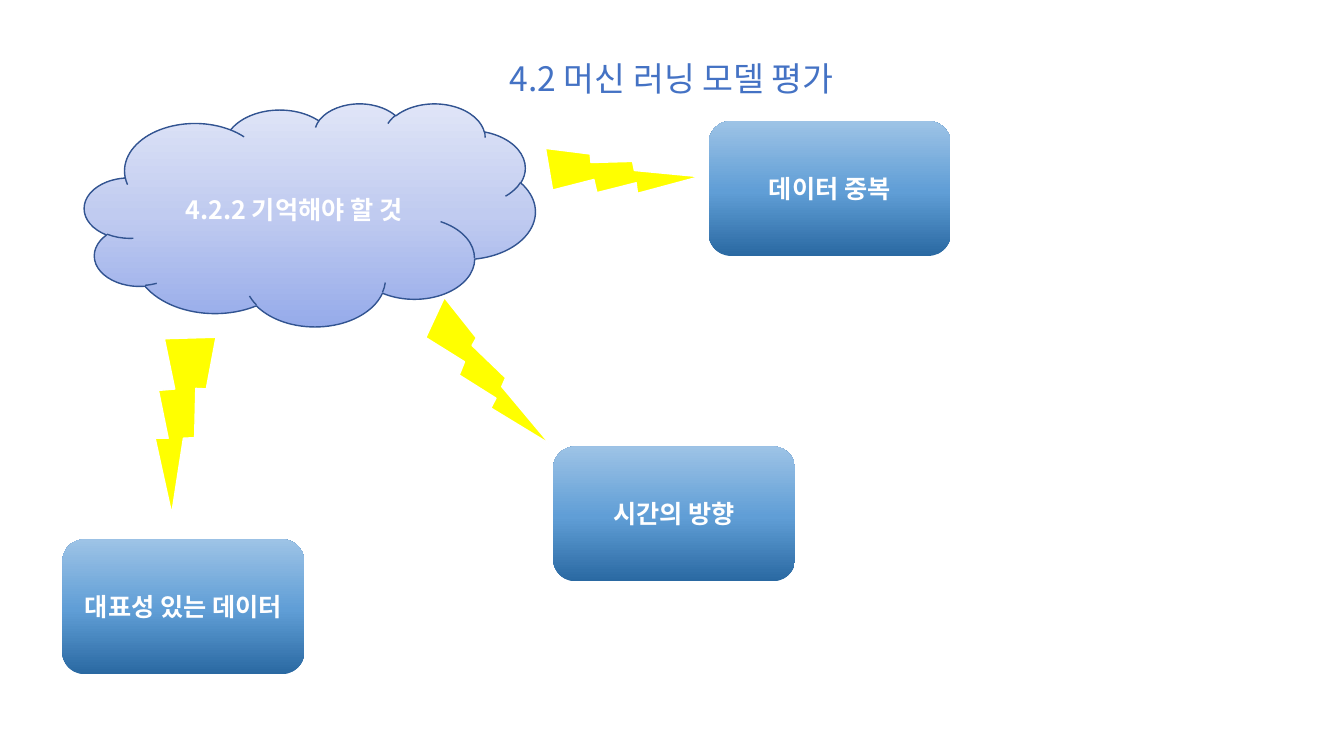
from lxml import etree
from pptx import Presentation
from pptx.dml.color import RGBColor
from pptx.enum.shapes import MSO_SHAPE
from pptx.enum.text import MSO_ANCHOR, PP_ALIGN
from pptx.oxml.ns import qn
from pptx.util import Cm, Pt

FONT = "Noto Sans CJK KR"
COLORS = {
    "title": "4472C4",
    "white": "FFFFFF",
    "bolt": "FFFF00",
    "cloud line": "325491",
}
CLOUD_STOPS = [(0, "96ABEA"), (50, "C0CBF0"), (100, "E0E5F7")]
CARD_STOPS = [(0, "2A69A2"), (48, "609ED6"), (100, "9DC3E6")]


def write_text(shape, text, size, color, bold, anchor):
    frame = shape.text_frame
    frame.text = text
    frame.word_wrap = True
    frame.vertical_anchor = anchor
    para = frame.paragraphs[0]
    para.alignment = PP_ALIGN.CENTER
    span = para.runs[0]
    span.font.name = FONT
    span.font.size = Pt(size)
    span.font.bold = bold
    span.font.color.rgb = RGBColor.from_string(COLORS[color])
    east_asian = etree.SubElement(span.font._element, qn("a:ea"))
    east_asian.set("typeface", FONT)


def add_gradient_shape(page, kind, place, stops, text):
    shape = page.shapes.add_shape(kind, *map(Cm, place))
    shape.shadow.inherit = False
    shape.fill.gradient()
    shape.fill.gradient_angle = 90
    stop_list = shape._element.spPr.find(".//" + qn("a:gsLst"))
    for old_stop in list(stop_list):
        stop_list.remove(old_stop)
    for percent, color in stops:
        stop = etree.SubElement(stop_list, qn("a:gs"), pos=str(percent * 1000))
        etree.SubElement(stop, qn("a:srgbClr"), val=color)
    write_text(shape, text, 18, "white", True, MSO_ANCHOR.MIDDLE)
    return shape


deck = Presentation()
deck.slide_width, deck.slide_height = Cm(33.87), Cm(19.05)
page = deck.slides.add_slide(deck.slide_layouts[5])

# Title
title = page.shapes.title
title.left, title.top, title.width, title.height = map(Cm, (2.13, 1.32, 29.6, 1.27))
write_text(title, "4.2 머신 러닝 모델 평가", 24, "title", False, MSO_ANCHOR.TOP)

# Central topic
cloud = add_gradient_shape(page, MSO_SHAPE.CLOUD, (2.13, 2.6, 11.36, 5.62),
                           CLOUD_STOPS, "4.2.2 기억해야 할 것")
cloud.line.color.rgb = RGBColor.from_string(COLORS["cloud line"])
cloud.line.width = Pt(1)

# Lightning bolts from the topic to each card
bolts = [
    ((3.12, 8.28, 2.67, 4.29), 34.8),
    ((11.15, 7.29, 2.01, 4.37), 339.9),
    ((14.43, 2.59, 2.11, 3.73), 299.4),
]
for place, rotation in bolts:
    bolt = page.shapes.add_shape(MSO_SHAPE.LIGHTNING_BOLT, *map(Cm, place))
    bolt.rotation = rotation
    bolt.shadow.inherit = False
    bolt.fill.solid()
    bolt.fill.fore_color.rgb = RGBColor.from_string(COLORS["bolt"])
    bolt.line.color.rgb = RGBColor.from_string(COLORS["white"])
    bolt.line.width = Pt(1)

# Points to remember
cards = [
    (1.57, 13.59, "대표성 있는 데이터"),
    (13.94, 11.25, "시간의 방향"),
    (17.86, 3.05, "데이터 중복"),
]
for left, top, text in cards:
    card = add_gradient_shape(page, MSO_SHAPE.ROUNDED_RECTANGLE,
                              (left, top, 6.1, 3.4), CARD_STOPS, text)
    card.line.fill.background()

deck.save("out.pptx")
